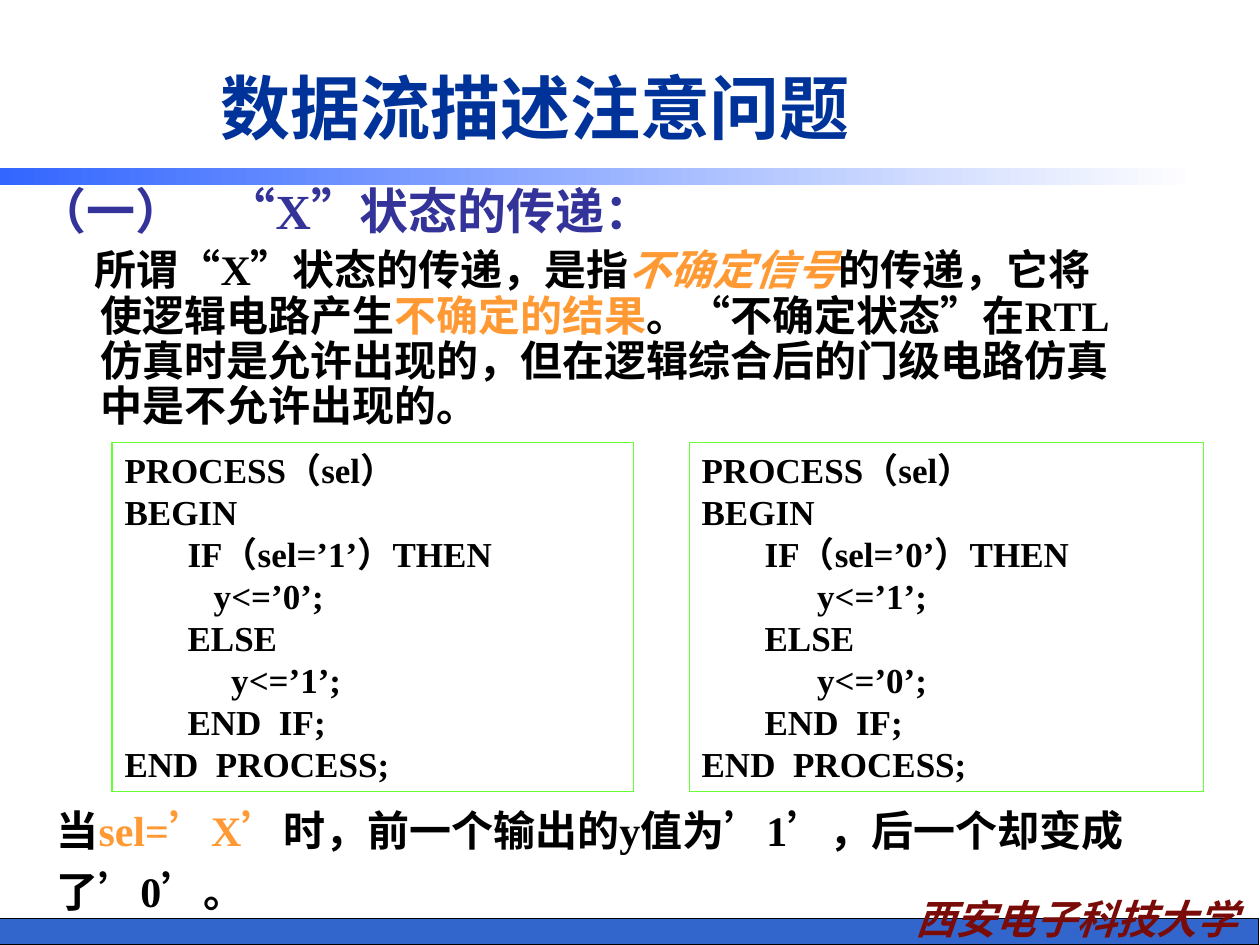
from dataclasses import dataclass

from lxml import etree
from pptx import Presentation
from pptx.dml.color import RGBColor
from pptx.enum.shapes import MSO_SHAPE
from pptx.enum.text import MSO_ANCHOR, MSO_AUTO_SIZE, PP_ALIGN
from pptx.oxml.ns import qn
from pptx.util import Inches, Pt

RECTANGLE = MSO_SHAPE.RECTANGLE
TOP = MSO_ANCHOR.TOP
NO_AUTOFIT = MSO_AUTO_SIZE.NONE
LEFT, CENTER = PP_ALIGN.LEFT, PP_ALIGN.CENTER


@dataclass(frozen=True)
class Theme:
    serif: str = "Times New Roman"
    sans: str = "Arial"
    chinese: str = "Noto Sans CJK SC"
    title_size: int = 40
    heading_size: int = 28
    body_size: int = 24
    school_size: int = 23
    code_size: int = 20
    title: str = "003399"
    heading: str = "333399"
    text: str = "000000"
    accent: str = "FF9933"
    school: str = "790C09"
    footer: str = "3366CC"
    bar_start: str = "3366FF"
    bar_end: str = "FFFFFF"
    code_border: str = "66FF33"


THEME = Theme()

TITLE = "数据流描述注意问题"
SCHOOL = "西安电子科技大学"
HEADING = "（一）\t“X”状态的传递："
# Each span: text, colour, italic
EXPLANATION = [
    ("所谓“X”状态的传递，是指", THEME.text, False),
    ("不确定信号", THEME.accent, True),
    ("的传递，它将使逻辑电路产生", THEME.text, False),
    ("不确定的结果", THEME.accent, False),
    ("。“不确定状态”在RTL仿真时是允许出现的，但在逻辑综合后的门级电路仿真中是不允许出现的。",
     THEME.text, False),
]
CONCLUSION = [
    ("当", THEME.text, False),
    ("sel=’X’", THEME.accent, False),
    ("时，前一个输出的y值为’1’，后一个却变成了’0’。", THEME.text, False),
]
# Each process: left, width, tested value, then-line, else-line
PROCESSES = [
    (0.89, 4.14, "0x1", "   y<=’0’;", "     y<=’1’;"),
    (5.47, 4.08, "0x0", "      y<=’1’;", "      y<=’0’;"),
]
CODE_TOP, CODE_HEIGHT = 3.51, 2.77


def process_lines(tested, then_line, else_line):
    return ["PROCESS（sel）", "BEGIN", f"\tIF（sel=’{tested[-1]}’）THEN",
            "\t" + then_line, "\tELSE", "\t" + else_line,
            "\tEND  IF;", "END  PROCESS;"]


def place(shape, left, top, width, height):
    shape.left, shape.top = Inches(left), Inches(top)
    shape.width, shape.height = Inches(width), Inches(height)


def prepare_frame(shape):
    frame = shape.text_frame
    frame.word_wrap = True
    frame.auto_size = NO_AUTOFIT
    frame.vertical_anchor = TOP
    return frame


def style_paragraph(para, size, color, font=THEME.serif, align=LEFT, spacing=1.0, before=0):
    para.alignment = align
    para.line_spacing = spacing
    para.space_before = Pt(before)
    para.font.name = font
    para.font.size = Pt(size)
    para.font.bold = True
    para.font.color.rgb = RGBColor.from_string(color)


def add_spans(para, spans):
    for text, color, italic in spans:
        span = para.add_run()
        span.text = text
        span.font.color.rgb = RGBColor.from_string(color)
        if italic:
            span.font.italic = True


def set_indent(para, margin, first_line, tab=None):
    """Hanging indent without a bullet, with an optional tab stop."""
    properties = para._p.get_or_add_pPr()
    properties.set("marL", str(Inches(margin)))
    properties.set("indent", str(Inches(first_line)))
    etree.SubElement(properties, qn("a:buNone"))
    if tab:
        stops = etree.SubElement(properties, qn("a:tabLst"))
        etree.SubElement(stops, qn("a:tab"), pos=str(Inches(tab)), algn="l")


def add_rectangle(slide, left, top, width, height):
    shape = slide.shapes.add_shape(
        RECTANGLE, Inches(left), Inches(top), Inches(width), Inches(height))
    shape.shadow.inherit = False
    return shape


def add_text_box(slide, left, top, width, height):
    box = slide.shapes.add_textbox(
        Inches(left), Inches(top), Inches(width), Inches(height))
    return prepare_frame(box).paragraphs[0]


def add_decoration(slide):
    footer = add_rectangle(slide, -0.01, 7.29, 10, 0.21)
    footer.fill.solid()
    footer.fill.fore_color.rgb = RGBColor.from_string(THEME.footer)
    footer.line.color.rgb = RGBColor.from_string(THEME.text)
    footer.line.width = Pt(0.75)

    bar = add_rectangle(slide, 0, 1.33, 9.51, 0.14)
    bar.line.fill.background()
    bar.fill.gradient()
    bar.fill.gradient_angle = 0
    colors = (THEME.bar_start, THEME.bar_end)
    for position, (stop, color) in enumerate(zip(bar.fill.gradient_stops, colors)):
        stop.position = position
        stop.color.rgb = RGBColor.from_string(color)

    school = add_text_box(slide, 6.97, 7.05, 3.15, 0.49)
    school.text = SCHOOL
    style_paragraph(school, THEME.school_size, THEME.school, THEME.chinese, CENTER)
    school.font.italic = True


def fill_placeholders(slide):
    title, body = slide.shapes.title, slide.placeholders[1]
    place(title, 1.65, 0.46, 7.28, 0.77)
    para = prepare_frame(title).paragraphs[0]
    para.text = TITLE
    style_paragraph(para, THEME.title_size, THEME.title, THEME.sans)

    place(body, 0.2, 1.31, 8.84, 2.16)
    frame = prepare_frame(body)
    heading = frame.paragraphs[0]
    heading.text = HEADING
    set_indent(heading, 0.5, -0.5, tab=1.36)
    style_paragraph(heading, THEME.heading_size, THEME.heading, spacing=1.15)
    explanation = frame.add_paragraph()
    add_spans(explanation, EXPLANATION)
    set_indent(explanation, 0.5, -0.05)
    style_paragraph(explanation, THEME.body_size, THEME.text, spacing=0.9, before=6)


def add_process(slide, left, width, lines):
    box = add_rectangle(slide, left, CODE_TOP, width, CODE_HEIGHT)
    box.fill.background()
    box.line.color.rgb = RGBColor.from_string(THEME.code_border)
    box.line.width = Pt(0.75)
    frame = prepare_frame(box)
    frame.text = "\n".join(lines)
    for para in frame.paragraphs:
        style_paragraph(para, THEME.code_size, THEME.text)


def main():
    deck = Presentation()
    deck.slide_width, deck.slide_height = Inches(10), Inches(7.5)
    slide = deck.slides.add_slide(deck.slide_layouts[1])
    add_decoration(slide)
    fill_placeholders(slide)
    for left, width, *parts in PROCESSES:
        add_process(slide, left, width, process_lines(*parts))
    conclusion = add_text_box(slide, 0.35, 6.26, 9.15, 1.06)
    add_spans(conclusion, CONCLUSION)
    style_paragraph(conclusion, THEME.body_size, THEME.text, spacing=1.2)
    deck.save("out.pptx")


if __name__ == "__main__":
    main()
